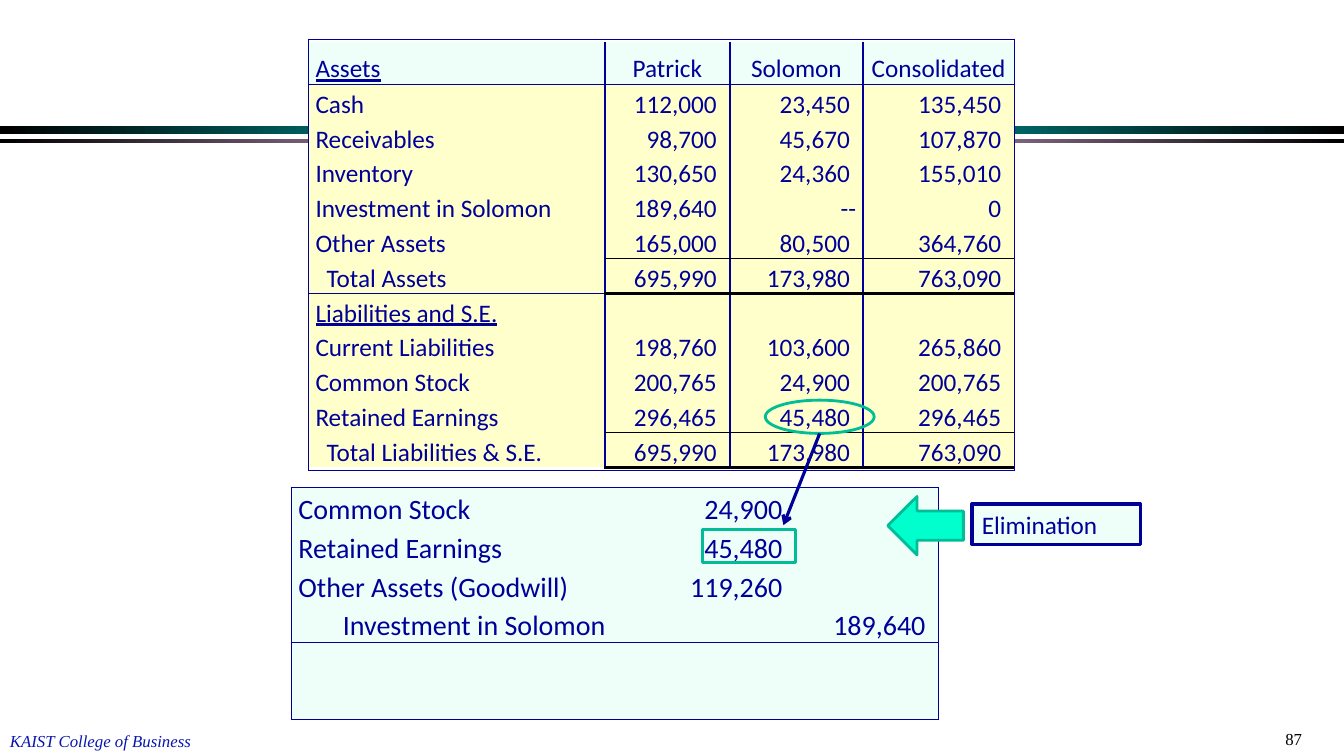
from lxml.etree import SubElement
from pptx import Presentation
from pptx.dml.color import RGBColor
from pptx.enum.shapes import MSO_CONNECTOR, MSO_SHAPE
from pptx.enum.text import MSO_ANCHOR, MSO_AUTO_SIZE, PP_ALIGN
from pptx.oxml import parse_xml
from pptx.oxml.ns import nsdecls, qn
from pptx.util import Inches, Pt

NAVY = RGBColor(0x00, 0x00, 0x99)
FOOTER_BLUE = RGBColor(0x09, 0x15, 0xAF)
BLACK = RGBColor(0x00, 0x00, 0x00)
MINT = RGBColor(0xEE, 0xFF, 0xF9)
CREAM = RGBColor(0xFF, 0xFF, 0xCC)
AQUA = RGBColor(0x00, 0xFF, 0xCC)
GREEN = RGBColor(0x00, 0xBD, 0x97)
TEAL = RGBColor(0x00, 0xCC, 0xCC)
PINK = RGBColor(0xFF, 0xCC, 0xFF)

BALANCE_SHEET = [
    ("Assets", "Patrick", "Solomon", "Consolidated"),
    ("Cash", "112,000", "23,450", "135,450"),
    ("Receivables", "98,700", "45,670", "107,870"),
    ("Inventory", "130,650", "24,360", "155,010"),
    ("Investment in Solomon", "189,640", "--", "0"),
    ("Other Assets", "165,000", "80,500", "364,760"),
    ("Total Assets", "695,990", "173,980", "763,090"),
    ("Liabilities and S.E.", "", "", ""),
    ("Current Liabilities", "198,760", "103,600", "265,860"),
    ("Common Stock", "200,765", "24,900", "200,765"),
    ("Retained Earnings", "296,465", "45,480", "296,465"),
    ("Total Liabilities & S.E.", "695,990", "173,980", "763,090"),
]
ELIMINATION_ENTRY = [
    ("Common Stock", "24,900", ""),
    ("Retained Earnings", "45,480", ""),
    ("Other Assets (Goodwill)", "119,260", ""),
    ("Investment in Solomon", "", "189,640"),
    ("", "", ""),
    ("", "", ""),
]
SECTION_LABELS = ("Assets", "Liabilities and S.E.")
THIN, THICK = (NAVY, 1), (BLACK, 2.25)
SUBTOTAL = [None] + [(BLACK, 1)] * 3
TOTAL = [THIN] + [THICK] * 3
BALANCE_RULES = {1: [THIN] * 4, 5 + 1: SUBTOTAL, 7: TOTAL, 11: SUBTOTAL, 12: [None] + [THICK] * 3}
ENTRY_RULES = {edge: [THIN] * 3 for edge in (0, 4, 6)}
INSET = 0.07


def draw_border(cell, position, side, rule):
    """Set one side of a table cell, or clear it when there is no rule."""
    border = parse_xml(f"<a:{side} {nsdecls('a')}/>")
    if rule:
        colour, width = rule
        border.set("w", str(Pt(width)))
        SubElement(SubElement(border, qn("a:solidFill")), qn("a:srgbClr"), val=str(colour))
    else:
        border.set("w", "0")
        SubElement(border, qn("a:noFill"))
    cell._tc.get_or_add_tcPr().insert(position, border)


def add_grid(page, rows, left, top, widths, heights, rules, uprights, size=18,
             fills=None, header=False, indents=None):
    """Add a table with ruled edges and right-aligned figures."""
    frame = page.shapes.add_table(len(rows), len(widths), Inches(left), Inches(top),
                                  Inches(sum(widths)), Inches(sum(heights)))
    table = frame.table
    table.first_row = table.horz_banding = False
    for column, width in zip(table.columns, widths):
        column.width = Inches(width)
    for line, height in zip(table.rows, heights):
        line.height = Inches(height)
    for r, row in enumerate(rows):
        for c, text in enumerate(row):
            cell = table.cell(r, c)
            indent = (indents or {}).get(r, 0) if c == 0 else 0
            figure = c > 0 and not (header and r == 0)
            cell.margin_left = Inches(INSET + indent)
            cell.margin_right = Inches(INSET + 0.06 if figure and text != "--" else INSET)
            cell.margin_top = cell.margin_bottom = 0
            cell.vertical_anchor = MSO_ANCHOR.BOTTOM
            if fills:
                cell.fill.solid()
                cell.fill.fore_color.rgb = fills[r]
            else:
                cell.fill.background()
            sides = (("lnL", THIN if c in uprights else None),
                     ("lnR", THIN if c + 1 in uprights else None),
                     ("lnT", rules.get(r, [None] * len(row))[c]),
                     ("lnB", rules.get(r + 1, [None] * len(row))[c]))
            for position, (side, rule) in enumerate(sides):
                draw_border(cell, position, side, rule)
            cell.text = text
            para = cell.text_frame.paragraphs[0]
            para.alignment = (PP_ALIGN.RIGHT if figure else
                              PP_ALIGN.CENTER if c else PP_ALIGN.LEFT)
            if text:
                para.line_spacing = 1.15
            style_text(para, size, "Calibri", NAVY)
            if text in SECTION_LABELS:
                para.font.underline = True


def style_text(para, size, name, colour):
    """Set the font of a paragraph."""
    para.font.size = Pt(size)
    para.font.name = name
    para.font.color.rgb = colour


def add_outline(page, kind, left, top, width, height, line=None, weight=2, fill=None):
    """Add a preset shape without shadow."""
    shape = page.shapes.add_shape(kind, Inches(left), Inches(top), Inches(width), Inches(height))
    shape.shadow.inherit = False
    if fill:
        shape.fill.solid()
        shape.fill.fore_color.rgb = fill
    else:
        shape.fill.background()
    if line:
        shape.line.color.rgb = line
        shape.line.width = Pt(weight)
    else:
        shape.line.fill.background()
    return shape


def add_band(page, top, height, middle):
    """Add a full-width band fading from black to a colour and back."""
    band = add_outline(page, MSO_SHAPE.RECTANGLE, 0, top, 13.33, height)
    stops = "".join(f'<a:gs pos="{share * 1000}"><a:srgbClr val="{colour}"/></a:gs>'
                    for share, colour in ((0, BLACK), (50, middle), (100, BLACK)))
    gradient = parse_xml(f'<a:gradFill {nsdecls("a")} rotWithShape="1"><a:gsLst>{stops}</a:gsLst>'
                         '<a:lin ang="0" scaled="1"/></a:gradFill>')
    properties = band._element.spPr
    properties.replace(properties.find(qn("a:noFill")), gradient)


def add_footer(page, text, left, top, width, colour, italic):
    """Add a small footer text."""
    box = page.shapes.add_textbox(Inches(left), Inches(top), Inches(width), Inches(0.3))
    box.text_frame.word_wrap = not italic
    box.text_frame.text = text
    para = box.text_frame.paragraphs[0]
    style_text(para, 12, "Times New Roman", colour)
    para.font.italic = italic


def main():
    """Build the consolidation slide."""
    deck = Presentation()
    deck.slide_width, deck.slide_height = Inches(13.33), Inches(7.5)
    page = deck.slides.add_slide(deck.slide_layouts[6])

    add_band(page, 1.25, 0.08, TEAL)
    add_band(page, 1.38, 0.04, PINK)
    add_footer(page, "87", 12.65, 7.18, 0.68, BLACK, False)
    add_footer(page, "KAIST College of Business", 0, 7.2, 2.02, FOOTER_BLUE, True)

    add_grid(page, BALANCE_SHEET, 3.06, 0.42, (2.94, 1.24, 1.32, 1.5),
             [0.42] + [3.79 / 11] * 11, BALANCE_RULES, range(5),
             fills=[MINT] + [CREAM] * 11, header=True, indents={6: 0.11, 11: 0.11})
    add_grid(page, ELIMINATION_ENTRY, 2.89, 4.84, (3.75, 1.25, 1.42), [2.3 / 6] * 6,
             ENTRY_RULES, (0, 3), size=20, fills=[MINT] * 6, indents={3: 0.44})

    label = add_outline(page, MSO_SHAPE.RECTANGLE, 9.64, 5, 1.67, 0.4, NAVY, 2.25, MINT)
    label.text_frame.text = "Elimination"
    label.text_frame.word_wrap = True
    label.text_frame.auto_size = MSO_AUTO_SIZE.SHAPE_TO_FIT_TEXT
    label.text_frame.vertical_anchor = MSO_ANCHOR.TOP
    para = label.text_frame.paragraphs[0]
    para.alignment = PP_ALIGN.LEFT
    style_text(para, 18, "Calibri", NAVY)

    pointer = add_outline(page, MSO_SHAPE.DOWN_ARROW, 8.89, 4.84, 0.58, 0.75, GREEN, fill=AQUA)
    pointer.rotation = 90
    add_grid(page, [("",)], 3.06, 0.39, (7,), (4.28,), {0: [THIN], 1: [THIN]}, (0, 1))

    add_outline(page, MSO_SHAPE.OVAL, 7.59, 3.97, 1.08, 0.33, GREEN)
    link = page.shapes.add_connector(MSO_CONNECTOR.STRAIGHT, Inches(8.13), Inches(4.3),
                                     Inches(7.77), Inches(5.21))
    link.line.color.rgb = NAVY
    link.line.width = Pt(2.25)
    SubElement(link.line._get_or_add_ln(), qn("a:tailEnd"), type="arrow")
    SubElement(link._element.spPr, qn("a:effectLst"))
    add_outline(page, MSO_SHAPE.RECTANGLE, 6.97, 5.25, 0.92, 0.33, GREEN)

    deck.save("out.pptx")


if __name__ == "__main__":
    main()
